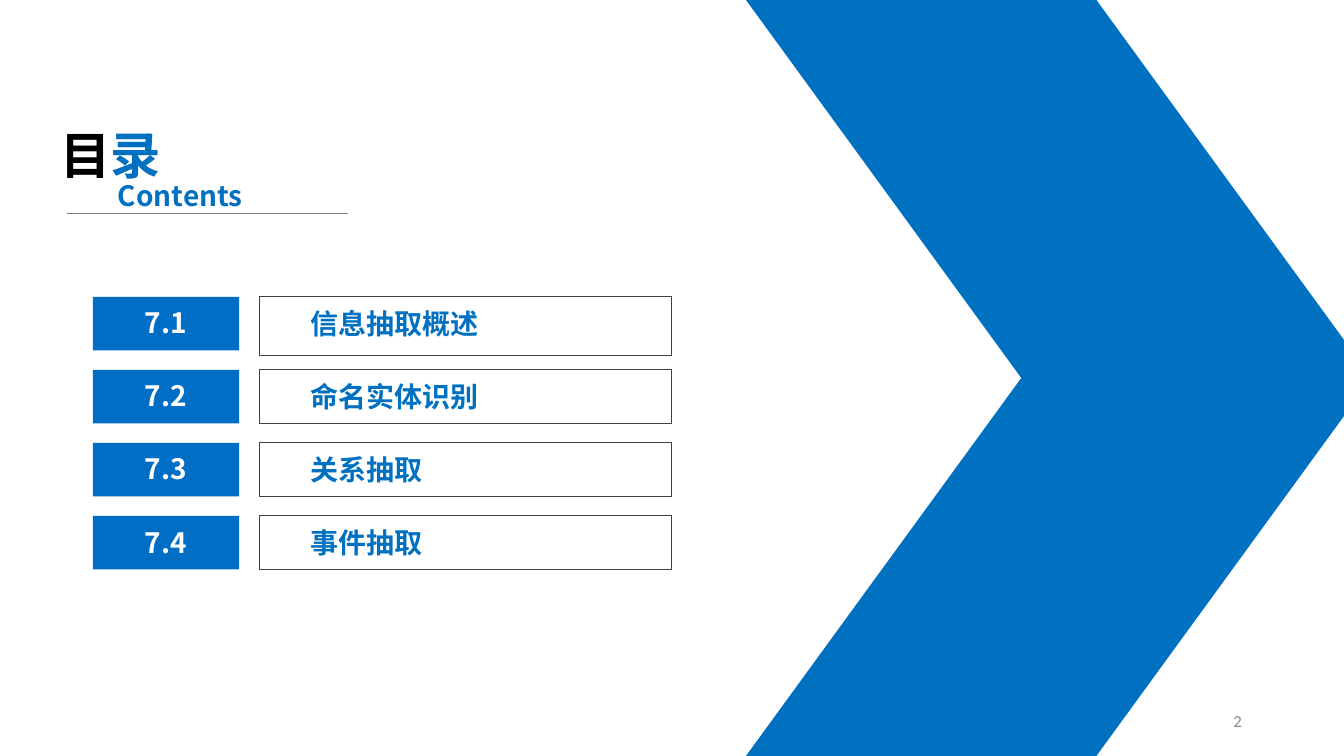
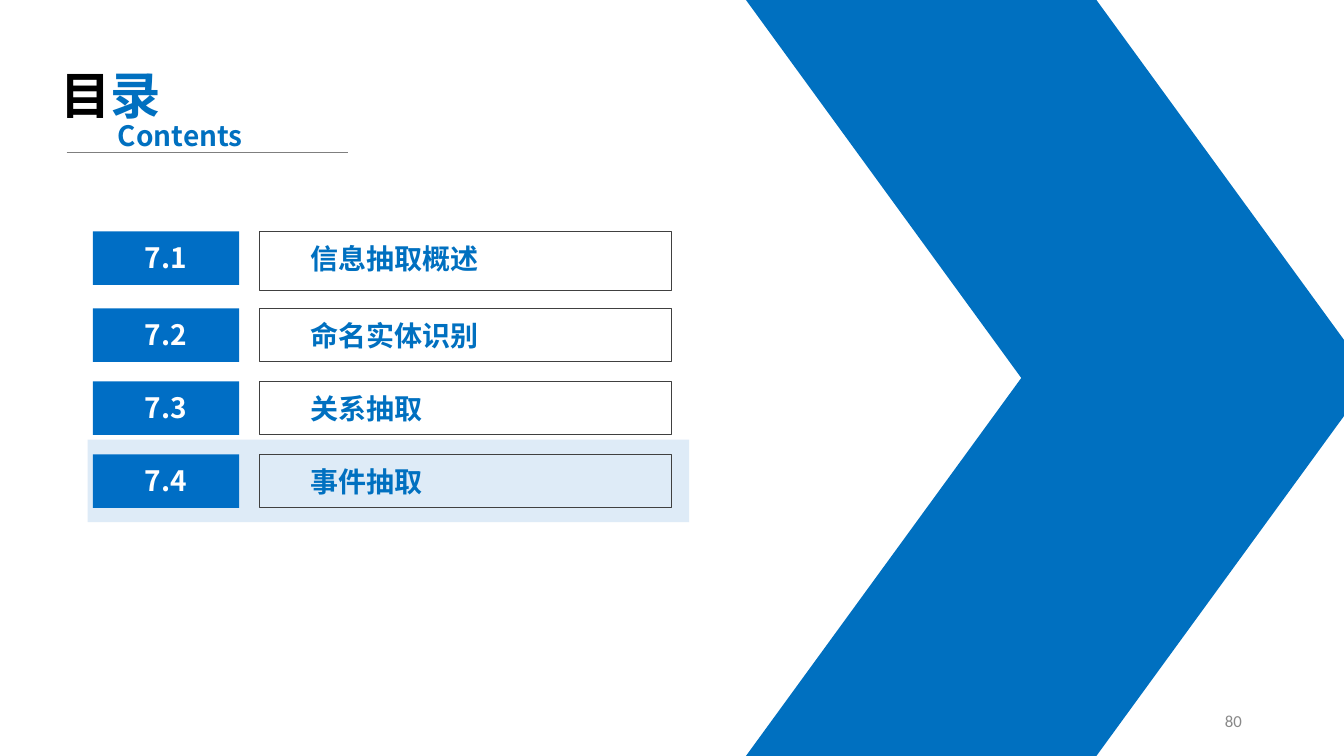
"""Build two contents slides of a chapter on information extraction."""
from lxml import etree
from pptx import Presentation
from pptx.dml.color import RGBColor
from pptx.enum import shapes, text
from pptx.oxml.ns import qn
from pptx.util import Cm, Pt

BLUE = RGBColor(0x00, 0x70, 0xC0)
NUMBER_BLUE = RGBColor(0x00, 0x6E, 0xC5)
PALE_BLUE = RGBColor(0xDE, 0xEB, 0xF7)
BLACK = RGBColor(0x00, 0x00, 0x00)
WHITE = RGBColor(0xFF, 0xFF, 0xFF)
FRAME_GREY = RGBColor(0x40, 0x40, 0x40)
RULE_GREY = RGBColor(0x7F, 0x7F, 0x7F)
PAGE_GREY = RGBColor(0x89, 0x89, 0x89)
HEADING_FONT = "Noto Sans CJK SC"
PAGE_FONT = "Calibri"

SECTIONS = [
    ("7.1", "信息抽取概述"),
    ("7.2", "命名实体识别"),
    ("7.3", "关系抽取"),
    ("7.4", "事件抽取"),
]
ROW_HEIGHT = 1.35
ROW_PITCH = 1.84


def style(paragraph, size, color=None, align=text.PP_ALIGN.LEFT, font=HEADING_FONT, bold=True):
    """Format a whole paragraph, with one font for Latin and Chinese."""
    paragraph.alignment = align
    paragraph.font.size = Pt(size)
    paragraph.font.bold = bold
    paragraph.font.name = font
    etree.SubElement(paragraph._p.pPr.find(qn("a:defRPr")), qn("a:ea"), typeface=font)
    if color is not None:
        paragraph.font.color.rgb = color


def add_block(slide, preset, left, top, width, height, fill=None, outline=None):
    """Add a flat preset shape, filled or outlined."""
    block = slide.shapes.add_shape(preset, Cm(left), Cm(top), Cm(width), Cm(height))
    block.shadow.inherit = False
    if fill is None:
        block.fill.background()
    else:
        block.fill.solid()
        block.fill.fore_color.rgb = fill
    if outline is None:
        block.line.fill.background()
    else:
        block.line.color.rgb = outline
        block.line.width = Pt(0.75)
    return block


def add_label(slide, words, left, top, width, height, **look):
    """Add a one-line text box."""
    label = slide.shapes.add_textbox(Cm(left), Cm(top), Cm(width), Cm(height))
    frame = label.text_frame
    frame.word_wrap = True
    frame.text = words
    style(frame.paragraphs[0], **look)
    return frame


def write_in_block(block, words, margin_left, margin_top, color, align):
    """Write one line of text near the top of a block."""
    frame = block.text_frame
    frame.vertical_anchor = text.MSO_ANCHOR.TOP
    frame.margin_left = Cm(margin_left)
    frame.margin_top = Cm(margin_top)
    frame.margin_bottom = 0
    frame.text = words
    style(frame.paragraphs[0], 20, color, align)


def add_heading(slide, top):
    """Place the two-colour title, its English subtitle and the rule."""
    title = slide.shapes.title
    title.left, title.top, title.width, title.height = Cm(1.27), Cm(top), Cm(3.99), Cm(1.8)
    frame = title.text_frame
    frame.auto_size = text.MSO_AUTO_SIZE.NONE
    frame.vertical_anchor = text.MSO_ANCHOR.TOP
    paragraph = frame.paragraphs[0]
    for character, color in (("目", BLACK), ("录", BLUE)):
        run = paragraph.add_run()
        run.text = character
        run.font.color.rgb = color
    style(paragraph, 36)

    rule_top = Cm(top + 2.37)
    rule = slide.shapes.add_connector(
        shapes.MSO_CONNECTOR.STRAIGHT, Cm(1.68), rule_top, Cm(8.76), rule_top)
    rule.line.color.rgb = RULE_GREY
    rule.line.width = Pt(0.5)
    etree.SubElement(rule._element.spPr, qn("a:effectLst"))
    add_label(slide, "Contents", 2.72, top + 1.37, 3.99, 1.12, size=20, color=BLUE)


def add_section(slide, number, name, top, frame_height):
    """Add a numbered block with its framed section name."""
    rectangle = shapes.MSO_SHAPE.RECTANGLE
    name_frame = add_block(slide, rectangle, 6.55, top, 10.37, frame_height, outline=FRAME_GREY)
    write_in_block(name_frame, name, 1.27, 0.25, BLUE, text.PP_ALIGN.LEFT)
    number_block = add_block(slide, rectangle, 2.34, top, 3.69, ROW_HEIGHT, fill=NUMBER_BLUE)
    write_in_block(number_block, number, 0.25, 0.23, WHITE, text.PP_ALIGN.CENTER)


def add_contents_slide(deck, page, heading_top, first_top, second_top, current=None):
    """Add a contents slide, shading the current section if there is one."""
    slide = deck.slides.add_slide(deck.slide_layouts[5])
    chevron = add_block(slide, shapes.MSO_SHAPE.CHEVRON, 18.8, 0, 15.77, 19.05, fill=BLUE)
    chevron.adjustments[0] = 0.44
    add_heading(slide, heading_top)
    for index, (number, name) in enumerate(SECTIONS):
        top = second_top + (index - 1) * ROW_PITCH if index else first_top
        if number == current:
            add_block(slide, shapes.MSO_SHAPE.RECTANGLE, 2.21, top - 0.37, 15.16, 2.08,
                      fill=PALE_BLUE)
        add_section(slide, number, name, top, ROW_HEIGHT if index else 1.48)
    page_frame = add_label(slide, page, 23.93, 17.65, 7.62, 1.02, size=12, color=PAGE_GREY,
                           align=text.PP_ALIGN.RIGHT, font=PAGE_FONT, bold=False)
    page_frame.vertical_anchor = text.MSO_ANCHOR.MIDDLE


def main():
    """Build and save the deck."""
    deck = Presentation()
    deck.slide_width, deck.slide_height = Cm(33.87), Cm(19.05)
    add_contents_slide(deck, "2", 3, 7.48, 9.32)
    add_contents_slide(deck, "80", 1.48, 5.83, 7.77, current="7.4")
    deck.save("out.pptx")


if __name__ == "__main__":
    main()
